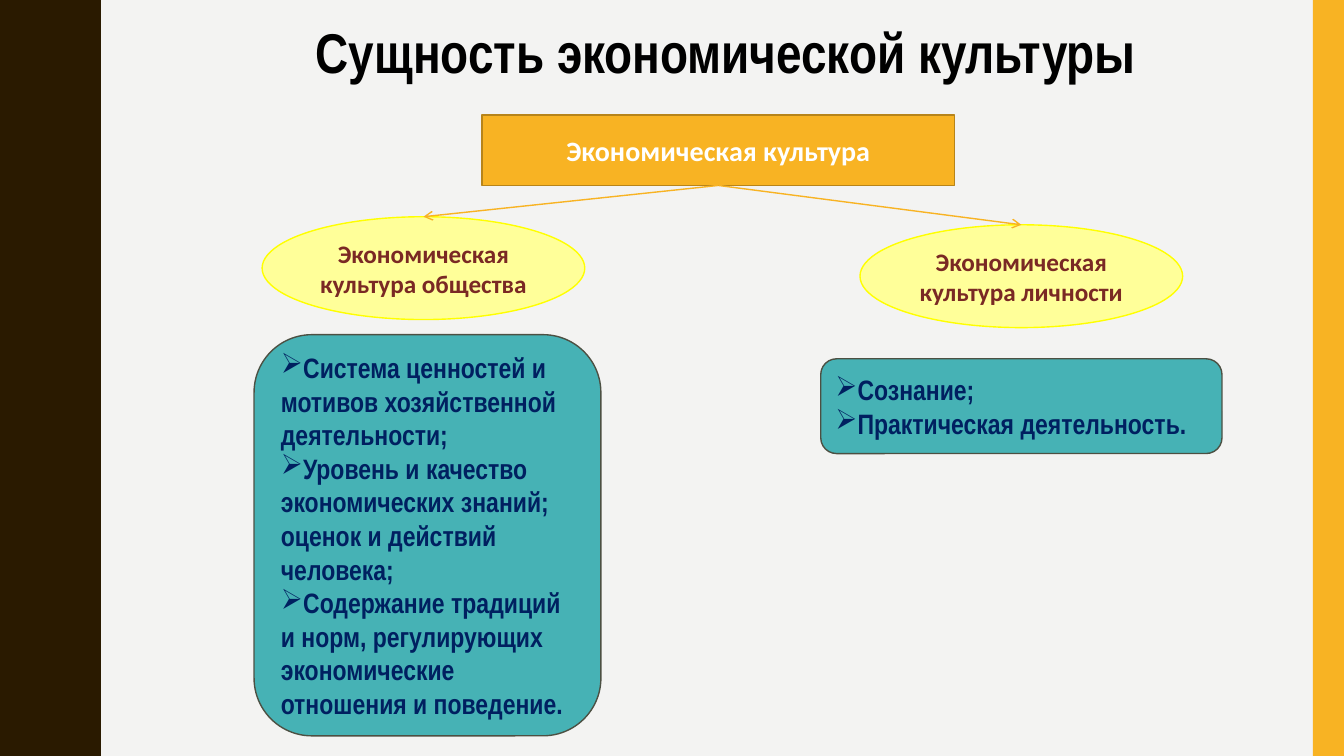
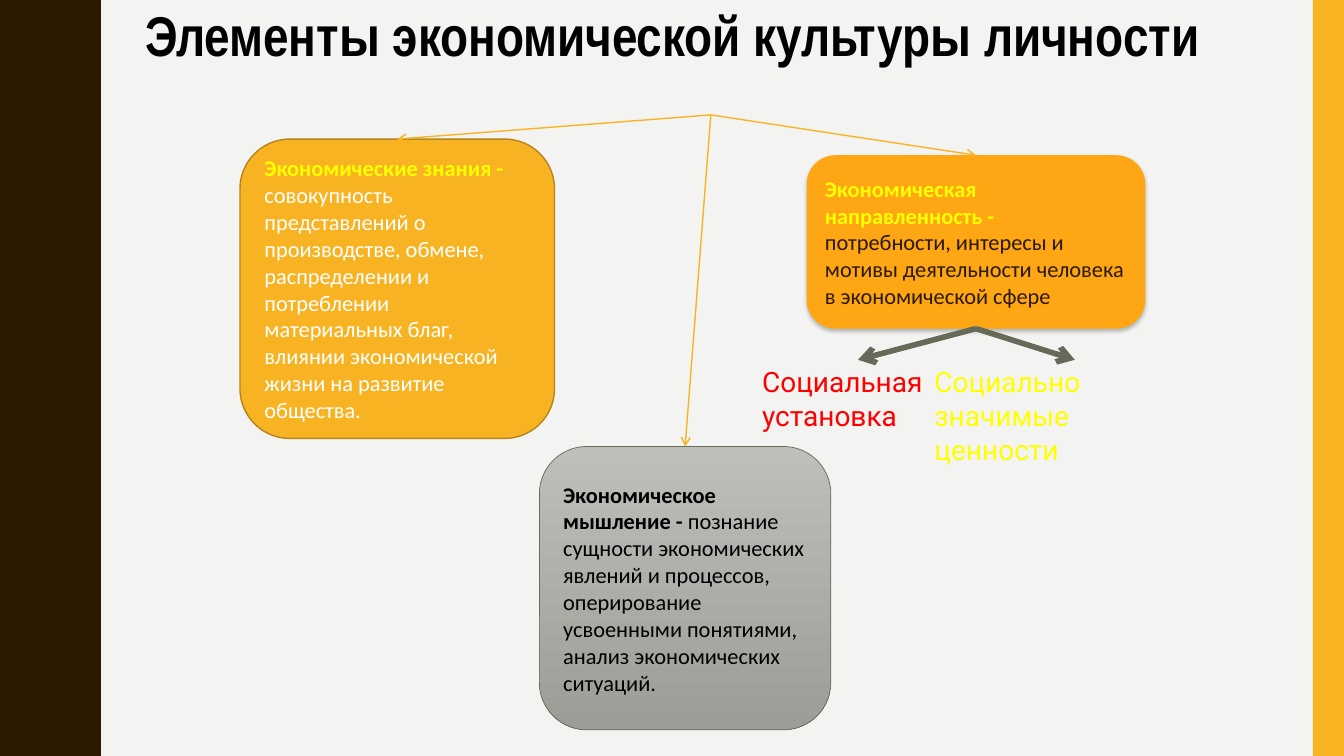
from dataclasses import dataclass

from lxml.etree import SubElement
from pptx import Presentation
from pptx.dml.color import RGBColor
from pptx.enum.shapes import MSO_CONNECTOR as Connector, MSO_SHAPE as Preset
from pptx.enum.text import MSO_ANCHOR as Anchor, MSO_AUTO_SIZE as AutoSize, PP_ALIGN as Align
from pptx.oxml.ns import qn
from pptx.shapes.autoshape import Shape
from pptx.slide import Slide
from pptx.text.text import TextFrame
from pptx.util import Inches, Pt

COLORS = {
    "background": "F3F3F2", "brown": "2A1A00", "gold": "F8B323", "gold_edge": "B7841A",
    "black": "000000", "white": "FFFFFF", "yellow": "FFFF00", "cream": "FFFF99",
    "maroon": "7A2924", "teal": "46B2B5", "teal_edge": "4C5043", "navy": "002060",
    "gray_light": "BEBFBB", "gray_dark": "9B9E96", "gray_edge": "656A59",
    "orange": "FFA615", "red": "FF0000",
}
WIDTH, HEIGHT = 13.33, 7.5
WAVE_HALF = 0.75
WAVE_STEPS = [  # edge of the wave from trough to crest: x, y
    (0.78, 0), (0.78, 0.07), (0.79, 0.14), (0.80, 0.2), (0.81, 0.25), (0.83, 0.29),
    (0.85, 0.33), (0.87, 0.38), (0.89, 0.42), (0.91, 0.46), (0.93, 0.5), (0.95, 0.55),
    (0.96, 0.61), (0.97, 0.68),
]
Point = tuple[float, float]
Box = tuple[float, float, float, float]


@dataclass(frozen=True)
class Font:
    name: str
    size: float
    color: str
    bold: bool = False


@dataclass(frozen=True)
class Span:
    text: str
    font: Font


@dataclass(frozen=True)
class Block:
    box: Box
    paragraphs: list[list[Span]]
    fill: str
    edge: str | None = None
    preset: Preset = Preset.ROUNDED_RECTANGLE
    align: Align = Align.LEFT
    edge_width: float = 1
    fill_end: str | None = None
    bulleted: bool = False
    shadowed: bool = False


TITLE = Font("Arial Narrow", 40, "black", True)
LIST = Font("Arial Narrow", 20, "navy", True)
ROOT = Font("Calibri", 20, "white", True)
BRANCH = Font("Calibri", 18, "maroon", True)


def body(color: str, bold: bool = False) -> Font:
    return Font("Calibri", 16, color, bold)


def rgb(name: str) -> RGBColor:
    return RGBColor.from_string(COLORS[name])


def lengths(box: Box) -> list[Inches]:
    return [Inches(value) for value in box]


def write(frame: TextFrame, paragraphs: list[list[Span]], align: Align, bulleted: bool = False) -> None:
    frame.word_wrap = True
    for index, spans in enumerate(paragraphs):
        para = frame.paragraphs[0] if index == 0 else frame.add_paragraph()
        para.alignment = align
        if bulleted:
            properties = para._p.get_or_add_pPr()
            SubElement(properties, qn("a:buChar"), char="➢")
        for span in spans:
            run = para.add_run()
            run.text = span.text
            run.font.name = span.font.name
            run.font.size = Pt(span.font.size)
            run.font.bold = span.font.bold
            run.font.color.rgb = rgb(span.font.color)


def paint(shape: Shape, color: str) -> None:
    """Give the shape a plain fill, no line and no shadow."""
    shape.shadow.inherit = False
    shape.fill.solid()
    shape.fill.fore_color.rgb = rgb(color)
    shape.line.fill.background()


def add_soft_shadow(shape: Shape) -> None:
    effects = shape.element.spPr.find(qn("a:effectLst"))
    shadow = SubElement(effects, qn("a:outerShdw"), blurRad=str(Pt(3)), dist=str(Pt(2)),
                        dir="5400000", rotWithShape="0")
    color = SubElement(shadow, qn("a:srgbClr"), val=COLORS["black"])
    SubElement(color, qn("a:alpha"), val="25000")


def add_block(slide: Slide, block: Block) -> Shape:
    shape = slide.shapes.add_shape(block.preset, *lengths(block.box))
    paint(shape, block.fill)
    if block.fill_end:
        shape.fill.gradient()
        shape.fill.gradient_angle = 270
        for stop, color in zip(shape.fill.gradient_stops, (block.fill, block.fill_end)):
            stop.color.rgb = rgb(color)
    if block.edge:
        shape.line.color.rgb = rgb(block.edge)
        shape.line.width = Pt(block.edge_width)
    if block.shadowed:
        add_soft_shadow(shape)
    shape.text_frame.vertical_anchor = Anchor.MIDDLE
    write(shape.text_frame, block.paragraphs, block.align, block.bulleted)
    return shape


def add_text(slide: Slide, box: Box, lines: list[str], font: Font, align: Align = Align.LEFT) -> None:
    frame = slide.shapes.add_textbox(*lengths(box)).text_frame
    write(frame, [[Span(line, font)] for line in lines], align)
    frame.auto_size = AutoSize.SHAPE_TO_FIT_TEXT


def add_arrow(slide: Slide, start: Shape | Point, end: Shape | Point,
              color: str = "gold", width: float = 1) -> None:
    """Join the bottom of one shape to the top of another; either end may be a point."""
    points = [(0, 0) if isinstance(place, Shape) else place for place in (start, end)]
    arrow = slide.shapes.add_connector(Connector.STRAIGHT, *lengths(points[0] + points[1]))
    if isinstance(start, Shape):
        arrow.begin_connect(start, 2)
    if isinstance(end, Shape):
        arrow.end_connect(end, 0)
    arrow.line.color.rgb = rgb(color)
    arrow.line.width = Pt(width)
    properties = arrow.element.spPr
    SubElement(properties.find(qn("a:ln")), qn("a:tailEnd"), type="arrow")
    SubElement(properties, qn("a:effectLst"))


def wave_edge() -> list[Point]:
    """Repeat the half wave down the slide, flipping every second one."""
    falling = [(x, WAVE_HALF - y) for x, y in reversed(WAVE_STEPS)]
    crest = (0.97, WAVE_HALF)
    halves = [WAVE_STEPS, [crest] + falling[:-1]]
    return [(x, y + half * WAVE_HALF)
            for half in range(round(HEIGHT / WAVE_HALF)) for x, y in halves[half % 2]]


def add_page(deck: Presentation) -> Slide:
    """Add a blank slide with the wavy band and the gold strip."""
    page = deck.slides.add_slide(deck.slide_layouts[6])
    outline = page.shapes.build_freeform(0, 0, scale=Inches(1))
    outline.add_line_segments(wave_edge() + [(0.78, HEIGHT), (0, HEIGHT)], close=True)
    paint(outline.convert_to_shape(), "brown")
    strip = page.shapes.add_shape(Preset.RECTANGLE, *lengths((13.02, 0, 0.31, HEIGHT)))
    paint(strip, "gold")
    return page


def add_essence_page(deck: Presentation) -> None:
    page = add_page(deck)
    add_text(page, (2.52, 0.12, 9.36, 0.77), ["Сущность экономической культуры"], TITLE, Align.CENTER)
    root = add_block(page, Block((4.78, 1.14, 4.69, 0.7), [[Span("Экономическая культура", ROOT)]],
                                 "gold", "gold_edge", Preset.RECTANGLE, Align.CENTER))
    branches = [
        ((2.6, 2.15), "Экономическая культура общества", (2.52, 3.32, 3.44, 3.98), [
            "Система ценностей и мотивов хозяйственной деятельности;",
            "Уровень и качество экономических знаний; оценок и действий человека;",
            "Содержание традиций и норм, регулирующих экономические отношения и поведение.",
        ]),
        ((8.53, 2.23), "Экономическая культура личности", (8.14, 3.56, 3.98, 0.94), [
            "Сознание;",
            "Практическая деятельность.",
        ]),
    ]
    for corner, name, list_box, items in branches:
        oval = add_block(page, Block((*corner, 3.2, 1.02), [[Span(name, BRANCH)]],
                                     "cream", "yellow", Preset.OVAL, Align.CENTER))
        add_arrow(page, root, oval)
        add_block(page, Block(list_box, [[Span(item, LIST)] for item in items],
                              "teal", "teal_edge", bulleted=True))


def add_elements_page(deck: Presentation) -> None:
    page = add_page(deck)
    knowledge = Block((2.38, 1.38, 3.12, 2.97), [[
        Span("Экономические знания - ", body("yellow", True)),
        Span("совокупность представлений о производстве, обмене, распределении и потреблении "
             "материальных благ, влиянии экономической жизни на развитие общества.", body("white")),
    ]], "gold", "gold_edge")
    thinking = Block((5.35, 4.43, 2.89, 2.81), [[
        Span("Экономическое мышление - ", body("black", True)),
        Span("познание сущности экономических явлений и процессов, оперирование усвоенными "
             "понятиями, анализ экономических ситуаций.", body("black")),
    ]], "gray_light", "gray_edge", edge_width=0.5, fill_end="gray_dark")
    orientation = Block((8, 1.54, 3.36, 1.72), [
        [Span("Экономическая направленность -", body("yellow", True))],
        [Span("потребности, интересы и мотивы деятельности человека в экономической сфере",
              body("brown"))],
    ], "orange", shadowed=True)
    shapes = [add_block(page, block) for block in (knowledge, thinking, orientation)]

    add_text(page, (7.46, 3.57, 2.11, 0.77), ["Социальная установка"], Font("Roboto", 20, "red"))
    add_text(page, (9.17, 3.57, 2.97, 0.77), ["Социально значимые", "ценности"],
             Font("Roboto", 20, "yellow"))
    for x in (10.66, 8.51):
        add_arrow(page, shapes[-1], (x, 3.57), "gray_edge", 4)
    for shape in shapes:
        add_arrow(page, (7.05, 1.14), shape)
    add_text(page, (1.34, -0.04, 12, 0.77), ["Элементы экономической культуры личности"], TITLE)


def main() -> None:
    deck = Presentation()
    deck.slide_width, deck.slide_height = Inches(WIDTH), Inches(HEIGHT)
    backdrop = deck.slide_master.background.fill
    backdrop.solid()
    backdrop.fore_color.rgb = rgb("background")
    add_essence_page(deck)
    add_elements_page(deck)
    deck.save("out.pptx")


if __name__ == "__main__":
    main()
